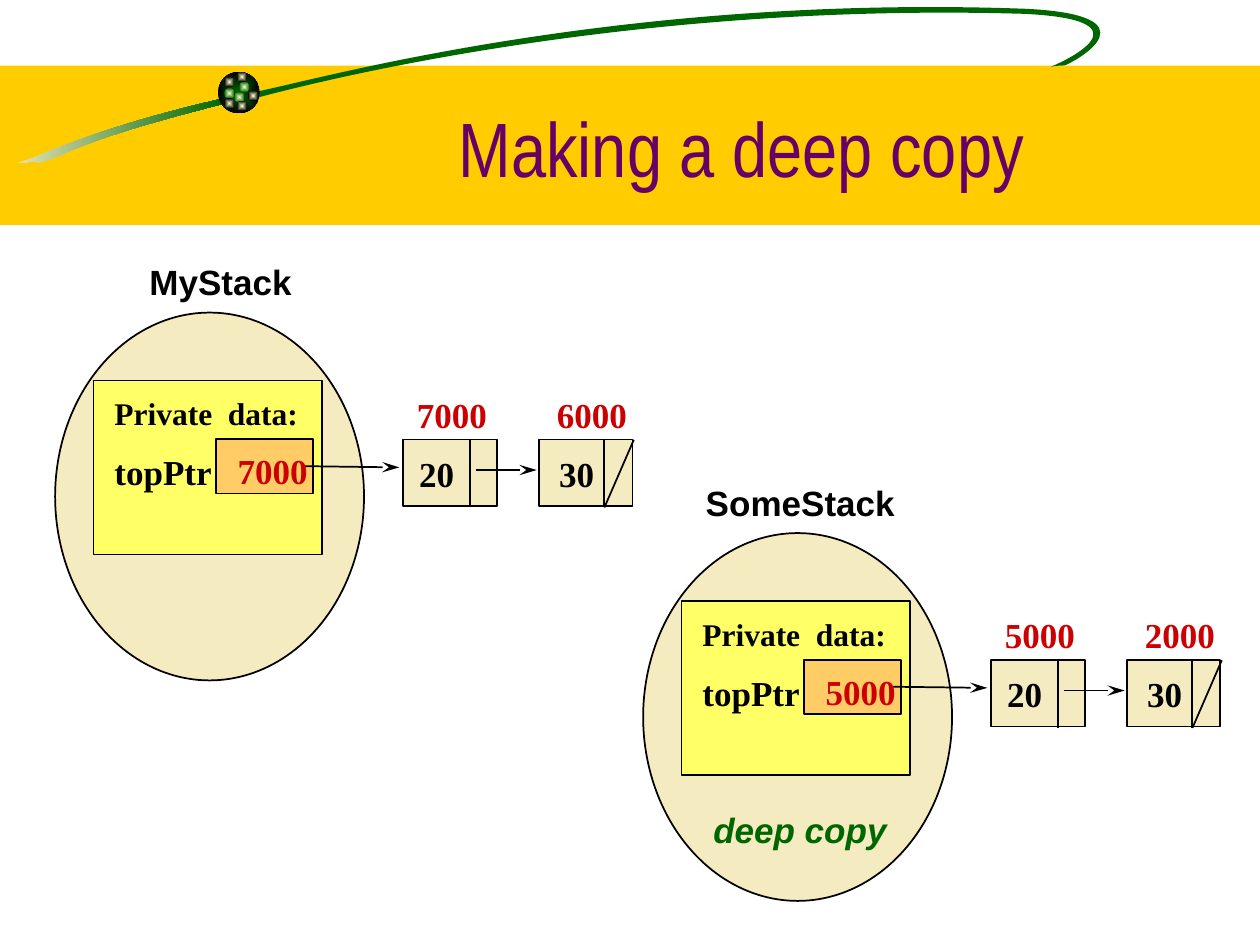
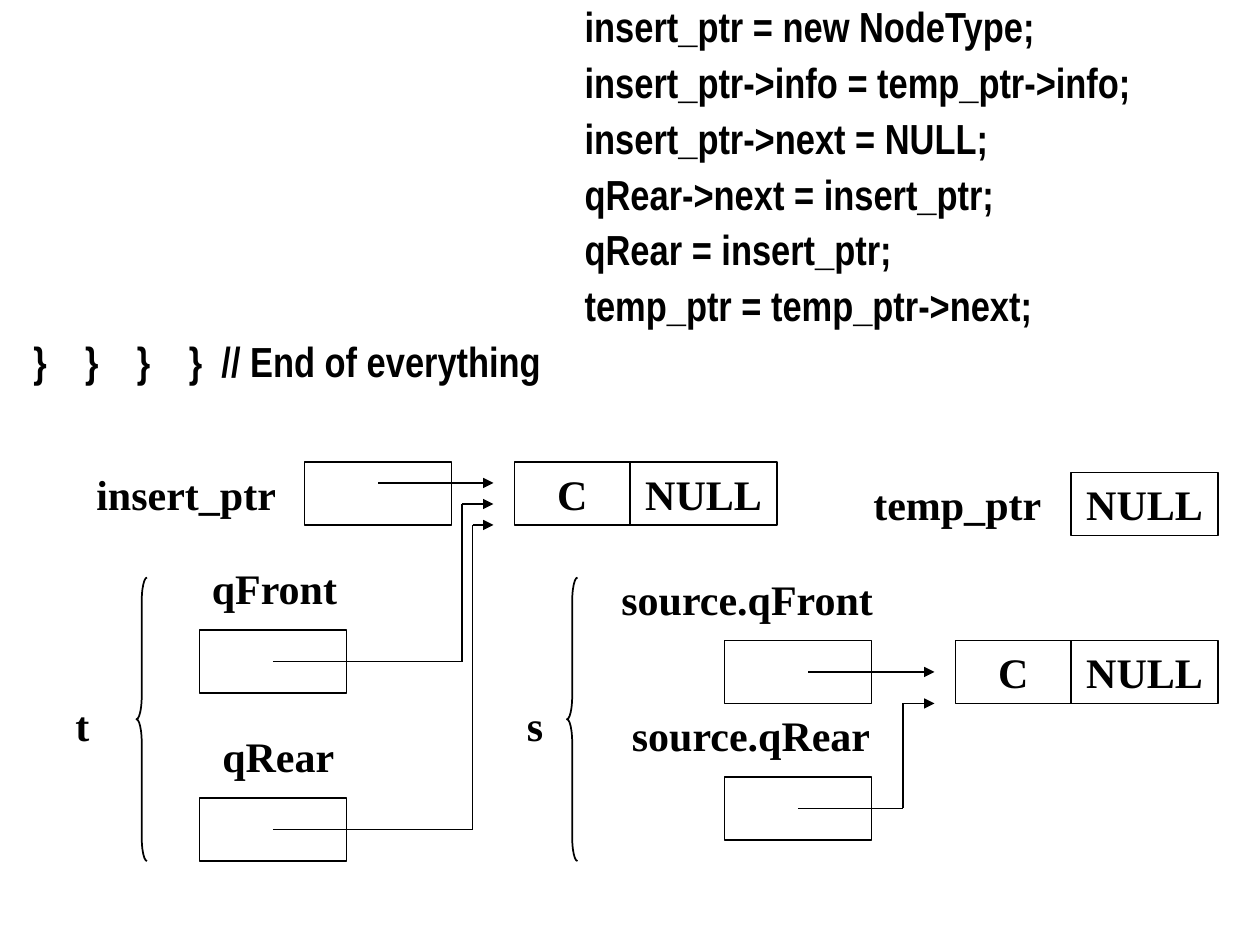
from pptx import Presentation
from pptx.dml.color import RGBColor
from pptx.enum.shapes import MSO_CONNECTOR, MSO_SHAPE
from pptx.enum.text import MSO_ANCHOR, PP_ALIGN
from pptx.oxml.ns import qn
from pptx.util import Pt
from lxml import etree

RECT, OVAL, BRACE = MSO_SHAPE.RECTANGLE, MSO_SHAPE.OVAL, MSO_SHAPE.LEFT_BRACE
STRAIGHT = MSO_CONNECTOR.STRAIGHT
LEFT, CENTER = PP_ALIGN.LEFT, PP_ALIGN.CENTER
TOP, MIDDLE, BOTTOM = MSO_ANCHOR.TOP, MSO_ANCHOR.MIDDLE, MSO_ANCHOR.BOTTOM

SANS, NARROW, SERIF = "Arial", "Arial Narrow", "Times New Roman"
BLACK, WHITE, GREEN, RED = "000000", "FFFFFF", "006600", "CC0000"
GOLD, PURPLE, CREAM, IVORY = "FFCC00", "660066", "F5EBC1", "FFFFCC"
YELLOW, ORANGE = "FFFF66", "FFCC66"


def rgb(hex_color):
    return RGBColor.from_string(hex_color)


def style(shape, fill=None, line=None):
    """Set a plain fill and outline, without a shadow."""
    shape.shadow.inherit = False
    if fill:
        shape.fill.solid()
        shape.fill.fore_color.rgb = rgb(fill)
    else:
        shape.fill.background()
    if line:
        shape.line.color.rgb = rgb(line)
        shape.line.width = Pt(1)
    else:
        shape.line.fill.background()
    return shape


def add_preset(slide, kind, x, y, w, h, fill=None, line=BLACK):
    shape = slide.shapes.add_shape(kind, Pt(x), Pt(y), Pt(w), Pt(h))
    return style(shape, fill, line)


def fade(shape, start, end, radial=False):
    """Fill with a gradient, from the left or from the centre outwards."""
    shape.fill.gradient()
    for stop, color in zip(shape.fill.gradient_stops, (start, end)):
        stop.color.rgb = rgb(color)
    shape.fill.gradient_angle = 0
    if radial:
        gradient = shape._element.spPr.find(qn("a:gradFill"))
        gradient.remove(gradient.find(qn("a:lin")))
        outline = etree.SubElement(gradient, qn("a:path"), {"path": "rect"})
        sides = {side: "50000" for side in "ltrb"}
        etree.SubElement(outline, qn("a:fillToRect"), sides)


def add_curve(slide, start, curves, fill):
    """Draw a closed outline of cubic curves, given in inches."""
    points = [start] + [point for curve in curves for point in curve]
    first, *others = [(Pt(72 * x), Pt(72 * y)) for x, y in points]
    builder = slide.shapes.build_freeform(*first)
    builder.add_line_segments(others, close=True)
    shape = builder.convert_to_shape()
    segments = list(shape._element.iter(qn("a:lnTo")))
    for index in range(0, 3 * len(curves), 3):
        curve = etree.Element(qn("a:cubicBezTo"))
        segments[index].addprevious(curve)
        for segment in segments[index:index + 3]:
            curve.append(segment[0])
            segment.getparent().remove(segment)
    return style(shape, fill)


def add_line(slide, *points, head=None, length="med"):
    """Join the points by straight lines, with an arrowhead on the last."""
    for start, end in zip(points, points[1:]):
        ends = [Pt(value) for value in start + end]
        line = slide.shapes.add_connector(STRAIGHT, *ends)
        line.line.color.rgb = rgb(BLACK)
        line.line.width = Pt(1)
        if head and end == points[-1]:
            etree.SubElement(line.line._get_or_add_ln(), qn("a:tailEnd"),
                             {"type": head, "w": "med", "len": length})
        etree.SubElement(line._element.spPr, qn("a:effectLst"))


def write(frame, *words, size=24, color=BLACK, font=SERIF, bold=True,
          italic=False, align=LEFT, indent=0, before=0, spacing=1.0):
    """Add one paragraph; a part is a text or (text, letter spacing)."""
    paragraph = frame.paragraphs[0]
    if paragraph.runs:
        paragraph = frame.add_paragraph()
    paragraph.alignment = align
    paragraph.line_spacing = spacing
    paragraph.space_before = Pt(before)
    properties = paragraph._p.get_or_add_pPr()
    properties.set("marL", str(Pt(indent)))
    properties.set("indent", "0")
    for part in words:
        content, tracking = (part, 0) if isinstance(part, str) else part
        run = paragraph.add_run()
        run.text = content
        run.font.name, run.font.size = font, Pt(size)
        run.font.bold, run.font.italic = bold, italic
        run.font.color.rgb = rgb(color)
        if tracking:
            run._r.get_or_add_rPr().set("spc", str(int(100 * tracking)))


def set_frame(frame, side, edge, anchor=TOP):
    frame.word_wrap = True
    frame.vertical_anchor = anchor
    frame.margin_left = frame.margin_right = Pt(side)
    frame.margin_top = frame.margin_bottom = Pt(edge)
    return frame


def add_frame(slide, x, y, w, h, side=7.2, edge=3.6, anchor=TOP):
    box = slide.shapes.add_textbox(Pt(x), Pt(y), Pt(w), Pt(h))
    return set_frame(box.text_frame, side, edge, anchor)


def add_title_band(slide, title):
    add_preset(slide, RECT, 0, 37.5, 720, 91, GOLD, None)
    tail = add_curve(slide, (1.78, 0.78), [
        ((0.91, 0.98), (0.49, 1.16), (0.25, 1.26)),
        ((0.01, 1.34), (0.26, 1.26), (0.31, 1.29)),
        ((0.57, 1.22), (0.57, 1.13), (1.79, 0.82))], CREAM)
    fade(tail, CREAM, GREEN)
    add_curve(slide, (2.02, 0.73), [
        ((2.46, 0.65), (4.86, -0.05), (8.14, 0.07)),
        ((9.17, 0.12), (8.57, 0.47), (8.45, 0.52)),
        ((8.45, 0.52), (8.38, 0.52), (8.34, 0.53)),
        ((8.44, 0.49), (9.16, 0.16), (8.13, 0.11)),
        ((5.48, 0.03), (3.2, 0.47), (2.06, 0.77))], GREEN)
    ball = add_preset(slide, OVAL, 124.6, 41, 23.8, 23.8, GREEN, None)
    fade(ball, GREEN, BLACK, radial=True)
    for x, y, rim in [(136.8, 46.8, GREEN), (128.2, 43.9, BLACK),
                      (128.2, 50.4, GREEN), (133.9, 52.6, GREEN),
                      (141.8, 51.8, BLACK), (135.4, 57.6, BLACK),
                      (128.2, 56.2, BLACK), (135.4, 41, BLACK)]:
        bead = add_preset(slide, OVAL, x, y, 5.8, 5.8, IVORY, None)
        fade(bead, IVORY, rim, radial=True)
    write(add_frame(slide, 127.5, 18, 592.5, 95.8, anchor=BOTTOM), title,
          size=44, font=NARROW, color=PURPLE, bold=False, align=CENTER)


def add_number(slide, x, y, number, color=BLACK):
    write(add_frame(slide, x, y, 56, 29.5, 5.8, 2.9), number,
          size=20, color=color)


def add_stack(slide, dx, dy, addresses):
    """Draw a stack object and its two nodes at the given addresses."""
    def at(x, y):
        return x + dx, y + dy

    for node_x, divider_x in ((230.4, 268.6), (307.9, 345)):
        add_preset(slide, RECT, *at(node_x, 251.1), 53.5, 38, CREAM)
        add_line(slide, at(divider_x, 250.6), at(divider_x, 290))
    add_line(slide, at(272.2, 268.6), at(306.7, 268.6),
             head="stealth", length="lg")
    add_line(slide, at(362.2, 251.3), at(345.4, 290))

    add_preset(slide, OVAL, *at(31.5, 178.6), 176.5, 210.2, CREAM)
    add_preset(slide, RECT, *at(53.5, 217.5), 130.4, 99.4, YELLOW)
    add_preset(slide, RECT, *at(123.5, 251.1), 55.6, 31, ORANGE)
    add_line(slide, at(172.8, 266.4), at(228.2, 267.1),
             head="stealth", length="lg")
    data = add_frame(slide, *at(59.6, 222.5), 124, 86.4, 5.8, 2.9)
    write(data, "Private  data:", size=18)
    write(data, "topPtr", size=20, before=10.5)
    add_number(slide, *at(130, 254), addresses[0], RED)
    for index, (address, value) in enumerate(zip(addresses, ("20", "30"))):
        add_number(slide, *at(232.4 + 80 * index, 221.8), address, RED)
        add_number(slide, *at(233.7 + 80 * index, 255.6), value)


def add_caption(slide, x, y, words, **look):
    write(add_frame(slide, x, y, 140, 31), words, size=20, font=SANS, **look)


def add_label(slide, x, y, words, width=180):
    write(add_frame(slide, x, y, width, 36), words)


def add_cell(slide, x, y, words="", width=84):
    cell = add_preset(slide, RECT, x, y, width, 36, WHITE)
    if words:
        write(set_frame(cell.text_frame, 0, 0, MIDDLE), words, align=CENTER)


def add_node(slide, x, y):
    add_cell(slide, x, y, "C", width=66)
    add_cell(slide, x + 66, y, "NULL")


def add_brace(slide, x, y):
    brace = add_preset(slide, BRACE, x, y, 6, 162)
    brace.adjustments[0] = 2.25


def build_deep_copy(slide):
    add_title_band(slide, "Making a deep copy")
    add_stack(slide, 0, 0, ("7000", "6000"))
    add_stack(slide, 336, 126, ("5000", "2000"))
    add_caption(slide, 78.3, 145.4, "MyStack")
    add_caption(slide, 396.2, 271.4, "SomeStack")
    add_caption(slide, 400.5, 458.6, "deep copy", color=GREEN, italic=True)


def build_queue_copy(slide):
    code = add_frame(slide, 12, 0, 683, 240)
    code_look = {"font": NARROW, "before": 6, "spacing": 0.9}
    for statement in ("insert_ptr = new NodeType;",
                      "insert_ptr->info = temp_ptr->info;",
                      "insert_ptr->next = NULL;",
                      "qRear->next = insert_ptr;",
                      "qRear = insert_ptr;",
                      "temp_ptr = temp_ptr->next;"):
        write(code, statement, indent=315, **code_look)
    write(code, ("} } } ", 8.25), "}  // End of everything", **code_look)

    for x, y in ((174, 264), (114, 360), (114, 456), (414, 366), (414, 444)):
        add_cell(slide, x, y)
    add_cell(slide, 612, 270, "NULL")
    add_node(slide, 294, 264)
    add_node(slide, 546, 366)

    for x, y, words in ((48, 264, "insert_ptr"), (492, 270, "temp_ptr"),
                        (114, 318, "qFront"), (120, 414, "qRear"),
                        (348, 324, "source.qFront"),
                        (354, 402, "source.qRear")):
        add_label(slide, x, y, words)
    for x, brace_x, words in ((36, 78, "t"), (294, 324, "s")):
        add_label(slide, x, 396, words, width=30)
        add_brace(slide, brace_x, 330)

    for route in (((216, 276), (282, 276)),
                  ((156, 378), (264, 378), (264, 288), (282, 288)),
                  ((156, 474), (270, 474), (270, 300), (282, 300)),
                  ((462, 384), (534, 384)),
                  ((456, 462), (516, 462), (516, 402), (534, 402))):
        add_line(slide, *route, head="triangle")


def main():
    deck = Presentation()
    deck.slide_width, deck.slide_height = Pt(720), Pt(540)
    blank = deck.slide_layouts[6]
    for build in (build_deep_copy, build_queue_copy):
        build(deck.slides.add_slide(blank))
    deck.save("out.pptx")


if __name__ == "__main__":
    main()
